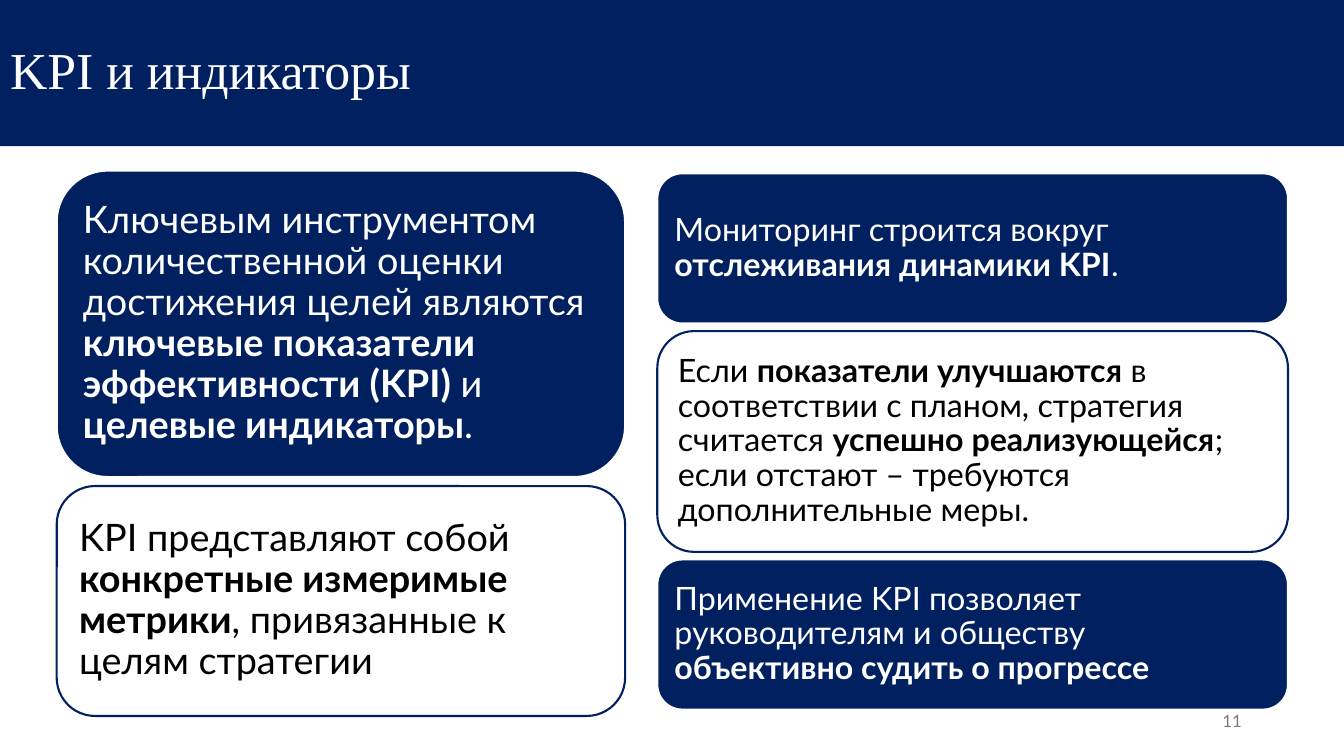
from pptx import Presentation
from pptx.dml.color import RGBColor
from pptx.enum.shapes import MSO_SHAPE
from pptx.enum.text import MSO_ANCHOR, MSO_AUTO_SIZE, PP_ALIGN
from pptx.util import Pt

NAVY, WHITE, BLACK, GREY = "002060", "FFFFFF", "000000", "797979"


def rgb(value):
    return RGBColor.from_string(value)


class KpiSlide:
    """Holds the style and the current slide, and adds its elements."""

    body_font = "Lato"
    title_font = "Times New Roman"

    def __init__(self, prs):
        self.s = prs.slides.add_slide(prs.slide_layouts[5])

    def frame(self, sp, inset, align=PP_ALIGN.LEFT, spacing=0.9):
        tf = sp.text_frame
        tf.word_wrap = True
        tf.auto_size = MSO_AUTO_SIZE.NONE
        tf.vertical_anchor = MSO_ANCHOR.MIDDLE
        tf.margin_left = tf.margin_right = Pt(inset)
        tf.margin_top = tf.margin_bottom = Pt(inset)
        p = tf.paragraphs[0]
        p.alignment = align
        p.line_spacing = spacing
        return p

    def run(self, p, text, size, color, font=body_font, bold=False):
        r = p.add_run()
        r.text = text
        r.font.name = font
        r.font.size = Pt(size)
        r.font.bold = bold
        r.font.color.rgb = rgb(color)

    def title(self, text, width, height):
        sp = self.s.shapes.title
        sp.left, sp.top, sp.width, sp.height = Pt(0), Pt(0), Pt(width), Pt(height)
        sp.fill.solid()
        sp.fill.fore_color.rgb = rgb(NAVY)
        self.run(self.frame(sp, 7.2), text, 37, WHITE, self.title_font)

    def card(self, x, y, w, h, pieces, size, inset, dark):
        sp = self.s.shapes.add_shape(
            MSO_SHAPE.ROUNDED_RECTANGLE, Pt(x), Pt(y), Pt(w), Pt(h))
        sp.shadow.inherit = False
        sp.fill.solid()
        sp.fill.fore_color.rgb = rgb(NAVY if dark else WHITE)
        sp.line.color.rgb = rgb(WHITE if dark else NAVY)
        sp.line.width = Pt(1.5)
        p = self.frame(sp, inset)
        for i, text in enumerate(pieces):
            self.run(p, text, size, WHITE if dark else BLACK, bold=i % 2 == 1)

    def column(self, x, y, w, gap, size, inset, cards):
        for i, (h, pieces) in enumerate(cards):
            self.card(x, y, w, h, pieces, size, inset, dark=i % 2 == 0)
            y += h + gap

    def number(self, text, x, y, w, h):
        sp = self.s.shapes.add_textbox(Pt(x), Pt(y), Pt(w), Pt(h))
        p = self.frame(sp, 7.2, PP_ALIGN.RIGHT, 1.0)
        self.run(p, text, 12, GREY)


LEFT_CARDS = [
    (218.9, ["Ключевым инструментом количественной оценки достижения целей являются ",
             "ключевые показатели эффективности (KPI)", " и ",
             "целевые индикаторы", "."]),
    (164.2, ["KPI представляют собой ", "конкретные измеримые метрики",
             ", привязанные к целям стратегии"]),
]
RIGHT_CARDS = [
    (107.3, ["Мониторинг строится вокруг ", "отслеживания динамики KPI", "."]),
    (157.7, ["Если ", "показатели улучшаются ",
             "в соответствии с планом, стратегия считается ",
             "успешно реализующейся",
             "; если отстают – требуются дополнительные меры."]),
    (107.3, ["Применение KPI позволяет руководителям и обществу ",
             "объективно судить о прогрессе"]),
]


def main():
    prs = Presentation()
    prs.slide_width, prs.slide_height = Pt(960), Pt(540)
    slide = KpiSlide(prs)
    slide.title("KPI и индикаторы", 960, 104.4)
    slide.number("11", 678.2, 500.4, 216, 28.8)
    slide.column(40.5, 121.9, 406, 6.4, 27, 8, LEFT_CARDS)
    slide.column(469.5, 123.8, 450.5, 5.4, 23, 7, RIGHT_CARDS)
    prs.save("out.pptx")


if __name__ == "__main__":
    main()
